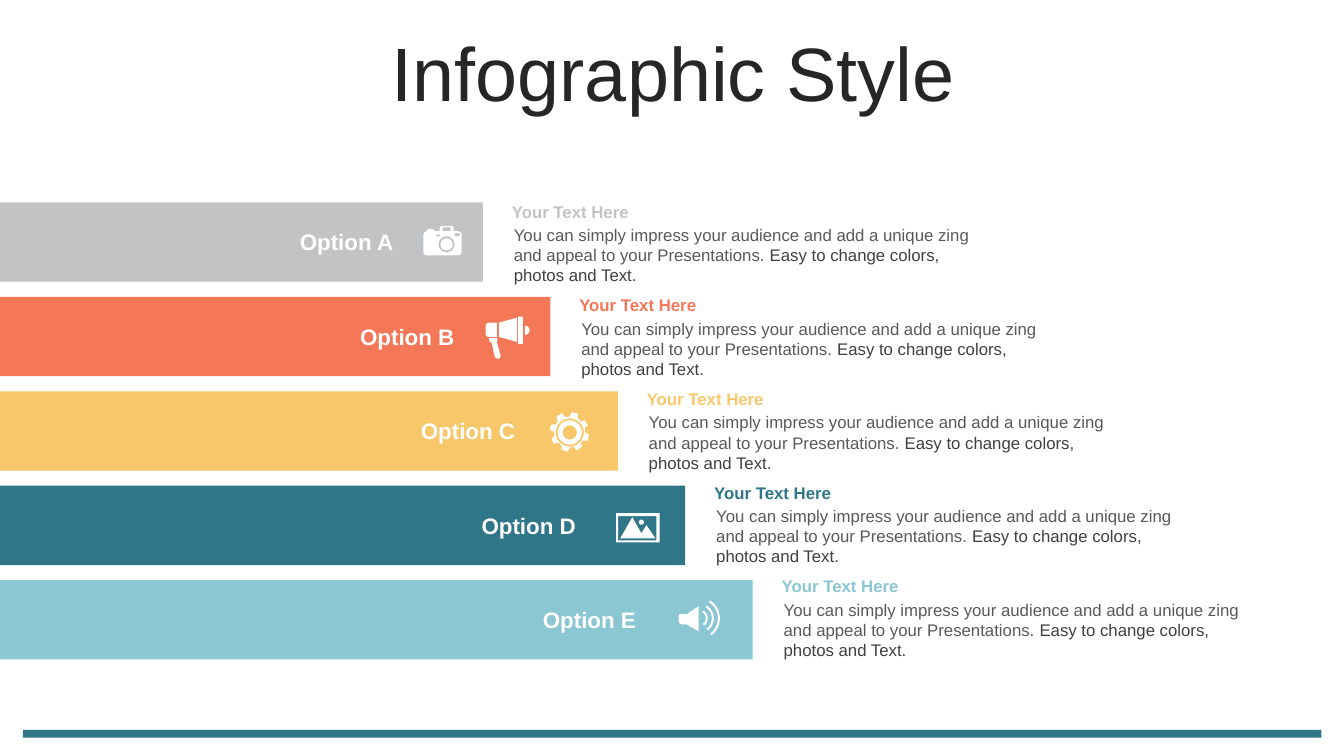
from dataclasses import dataclass
from math import cos, radians, sin
from typing import NamedTuple

from pptx import Presentation
from pptx.dml.color import RGBColor
from pptx.enum.shapes import MSO_SHAPE as Preset
from pptx.enum.text import MSO_ANCHOR as Anchor, MSO_AUTO_SIZE as AutoSize, PP_ALIGN as Align
from pptx.util import Cm, Pt


@dataclass(frozen=True)
class Theme:
    """Colours and type sizes of the slide."""
    font: str = "Arial"
    ink: str = "262626"
    body: str = "595959"
    accent: str = "404040"
    white: str = "FFFFFF"
    grey: str = "C1C3C4"
    coral: str = "F47758"
    amber: str = "F7C76A"
    teal: str = "307689"
    aqua: str = "8AC7D3"
    title_size: int = 54
    label_size: int = 16
    text_size: int = 12


THEME = Theme()
ICON_UNIT = Cm(2.54) / 100


class Box(NamedTuple):
    """A rectangle in centimetres."""
    left: float
    top: float
    width: float
    height: float

    def emu(self):
        """Return the four lengths for python-pptx."""
        return [Cm(length) for length in self]


class Option(NamedTuple):
    """One bar with its icon and the icon's distance from the bar's top right corner."""
    label: str
    color: str
    icon: list
    icon_inset: float
    icon_drop: float


def rect(left, top, right, bottom):
    """Return the outline of a rectangle."""
    return [(left, top), (right, top), (right, bottom), (left, bottom)]


def arc(x, y, radius, start=0, end=360):
    """Return points along a circular arc, angles in degrees."""
    angles = [radians(start + (end - start) * step / 32) for step in range(33)]
    return [(x + radius * cos(angle), y + radius * sin(angle)) for angle in angles]


def wave(radius):
    """Return the outline of one sound wave."""
    return arc(20, 17, radius, -58, 53) + arc(20, 17, radius - 2, 53, -58)


CAMERA = [
    arc(23, 18, 6), arc(23, 18, 8),
    rect(13, 8, 16, 10), rect(31, 7, 36, 10), rect(19, 1, 27, 5),
    [(18, 0), (29, 0), (30, 1), (30, 5), (35, 5), (37, 6), (38, 8), (38, 26), (37, 28),
     (35, 29), (3, 29), (1, 28), (0, 26), (0, 8), (1, 6), (3, 5), (4, 5), (4, 3),
     (10, 3), (11, 4), (11, 5), (16, 5), (16, 1)],
]
MEGAPHONE = [
    [(11, 21), (12, 23), (11, 25), (15, 39), (14, 41), (12, 42), (9, 40), (6, 26), (4, 25), (3, 21)],
    arc(39, 13.5, 4.5, -90, 90),
    [(2, 6), (11, 6), (11, 20), (2, 20), (0, 18), (0, 8)],
    [(31, 1), (31, 25), (13, 20), (13, 6)],
    rect(32, 0, 37, 27),
]
GEAR = [
    arc(20, 20, 7), arc(20, 20, 12), arc(20, 20, 14),
    [(28, 1), (28, 6), (31, 9), (35, 8), (38, 13), (35, 15), (35, 20), (39, 22), (38, 28),
     (33, 28), (31, 30), (32, 34), (27, 38), (24, 34), (20, 35), (18, 39), (12, 37), (12, 33),
     (9, 30), (4, 31), (2, 26), (5, 23), (4, 19), (0, 17), (2, 12), (6, 12), (8, 9), (7, 4),
     (12, 1), (16, 5), (20, 4), (22, 0)],
]
LANDSCAPE = [
    arc(25, 9, 2.5), [(16, 4), (25, 20), (30, 12), (39, 25), (4, 25)],
    rect(2, 3, 40, 27), rect(0, 0, 43, 29),
]
SPEAKER = [
    [(20, 5), (20, 30), (8, 23), (3, 23), (1, 22), (0, 20), (0, 15), (1, 13), (8, 13)],
    wave(9), wave(15), wave(21),
]

OPTIONS = [
    Option("Option A", THEME.grey, CAMERA, 1.5, 0.6),
    Option("Option B", THEME.coral, MEGAPHONE, 1.63, 0.5),
    Option("Option C", THEME.amber, GEAR, 1.72, 0.53),
    Option("Option D", THEME.teal, LANDSCAPE, 1.74, 0.69),
    Option("Option E", THEME.aqua, SPEAKER, 1.87, 0.53),
]


def paint(shape, color):
    """Give a shape a flat fill without line or shadow."""
    shape.shadow.inherit = False
    shape.fill.solid()
    shape.fill.fore_color.rgb = RGBColor.from_string(color)
    shape.line.fill.background()


def style(font, size, color, bold=False):
    """Set family, size, colour and weight of a font."""
    font.name = THEME.font
    font.size = Pt(size)
    font.bold = bold
    font.color.rgb = RGBColor.from_string(color)


def add_bar(page, box, color):
    """Draw a plain rectangle."""
    paint(page.shapes.add_shape(Preset.RECTANGLE, *box.emu()), color)


def add_text(page, box):
    """Add a wrapping text box and return its first paragraph."""
    frame = page.shapes.add_textbox(*box.emu()).text_frame
    frame.word_wrap = True
    frame.auto_size = AutoSize.SHAPE_TO_FIT_TEXT
    return frame.paragraphs[0]


def add_icon(page, left, top, outlines):
    """Draw a white icon whose nested outlines cut holes."""
    contours = [[(x * ICON_UNIT, y * ICON_UNIT) for x, y in outline] for outline in outlines]
    builder = page.shapes.build_freeform(*contours[0][0])
    for contour in contours:
        builder.move_to(*contour[0])
        builder.add_line_segments(contour[1:], close=True)
    paint(builder.convert_to_shape(Cm(left), Cm(top)), THEME.white)


def add_title(page, box):
    """Fill and place the title placeholder."""
    title = page.shapes.title
    title.left, title.top, title.width, title.height = box.emu()
    frame = title.text_frame
    frame.text = "Infographic Style"
    frame.auto_size = AutoSize.NONE
    frame.vertical_anchor = Anchor.MIDDLE
    para = frame.paragraphs[0]
    para.alignment = Align.CENTER
    para.line_spacing = 0.9
    style(para.font, THEME.title_size, THEME.ink)


def add_option(page, box, label_left, option):
    """Draw an option's bar with its label and icon."""
    add_bar(page, box, option.color)
    para = add_text(page, Box(label_left, box.top + 0.53, 3.35, 0.94))
    para.text = option.label
    para.alignment = Align.CENTER
    style(para.font, THEME.label_size, THEME.white, bold=True)
    add_icon(page, box.left + box.width - option.icon_inset, box.top + option.icon_drop, option.icon)


def add_caption(page, box, color):
    """Write the heading and description beside a bar."""
    heading = add_text(page, Box(box.left, box.top, box.width - 0.1, 0.76))
    heading.text = "Your Text Here"
    style(heading.font, THEME.text_size, color, bold=True)
    para = add_text(page, Box(box.left + 0.05, box.top + 0.59, box.width, 1.8))
    for text, ink in (
        ("You can simply impress your audience and add a unique zing and appeal to your Presentations. ", THEME.body),
        ("Easy to change colors, photos and Text.", THEME.accent),
    ):
        span = para.add_run()
        span.text = text
        style(span.font, THEME.text_size, ink)


def main():
    """Build and save the slide."""
    deck = Presentation()
    deck.slide_width, deck.slide_height = Cm(33.87), Cm(19.05)
    page = deck.slides.add_slide(deck.slide_layouts[5])
    add_bar(page, Box(0.58, 18.39, 32.72, 0.2), THEME.teal)
    add_title(page, Box(0.89, 0.94, 32.16, 2))
    for row, option in enumerate(OPTIONS):
        add_option(page, Box(0, 5.1 + 2.38 * row, 12.17 + 1.7 * row, 2), 7.06 + 1.53 * row, option)
        add_caption(page, Box(12.65 + 1.7 * row, 4.95 + 2.36 * row, 12.09, 2.39), option.color)
    deck.save("out.pptx")


if __name__ == "__main__":
    main()
